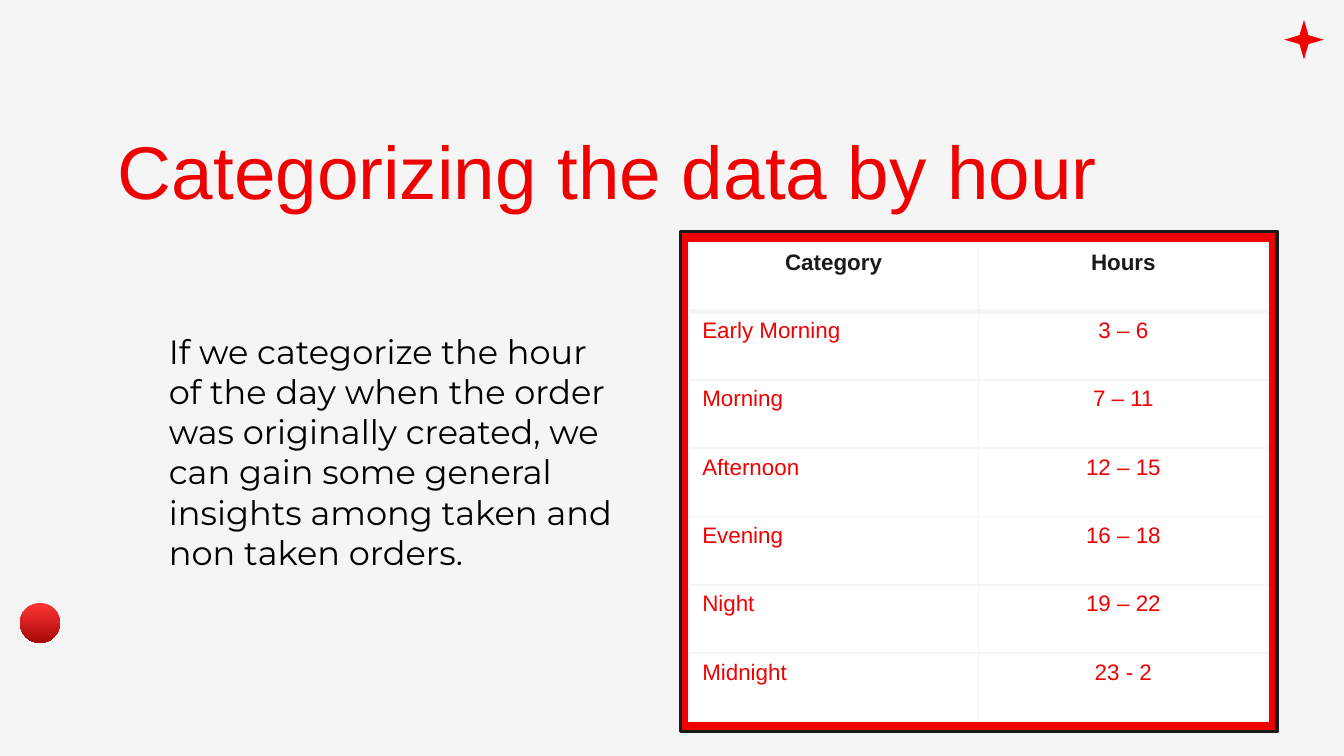
import math
from dataclasses import dataclass

from pptx import Presentation
from pptx.dml.color import RGBColor
from pptx.enum import shapes, text
from pptx.oxml import parse_xml
from pptx.oxml import ns
from pptx.util import Pt


@dataclass(frozen=True)
class Theme:
    paper: str = "F5F5F5"
    cell: str = "FFFFFF"
    ink: str = "1A1A1A"
    body: str = "000000"
    accent: str = "F00101"
    ball: tuple = ("FE3535", "A90707")
    heading_font: str = "Arial"
    body_font: str = "Montserrat"
    title_size: int = 40
    body_size: int = 18
    table_size: int = 12


THEME = Theme()
TITLE = "Categorizing the data by hour"
BODY = ("If we categorize the hour of the day when the order was originally "
        "created, we can gain some general insights among taken and non taken "
        "orders.")
ROWS = [
    ("Category", "Hours"),
    ("Early Morning", "3 – 6"),
    ("Morning", "7 – 11"),
    ("Afternoon", "12 – 15"),
    ("Evening", "16 – 18"),
    ("Night", "19 – 22"),
    ("Midnight", "23 - 2"),
]


def apply_format(target, values):
    for name, value in values.items():
        setattr(target, name, value)


def paint(fill, color):
    fill.solid()
    fill.fore_color.rgb = RGBColor.from_string(color)


def write(frame, words, size, color, font, bold=False,
          align=text.PP_ALIGN.LEFT):
    para = frame.paragraphs[0]
    para.alignment = align
    span = para.add_run()
    span.text = words
    apply_format(span.font, {"size": Pt(size), "name": font, "bold": bold})
    span.font.color.rgb = RGBColor.from_string(color)


def add_title(page):
    title = page.shapes.title
    apply_format(title, {"left": Pt(56), "top": Pt(57),
                         "width": Pt(608), "height": Pt(37)})
    apply_format(title.text_frame, {
        "margin_left": Pt(7.2), "margin_right": Pt(7.2),
        "margin_top": Pt(10), "margin_bottom": Pt(7.2),
        "vertical_anchor": text.MSO_ANCHOR.TOP,
        "auto_size": text.MSO_AUTO_SIZE.NONE, "word_wrap": True})
    write(title.text_frame, TITLE, THEME.title_size, THEME.accent,
          THEME.heading_font)


def add_body(page):
    box = page.shapes.add_textbox(Pt(83.4), Pt(173.5), Pt(257), Pt(138.5))
    box.text_frame.word_wrap = True
    write(box.text_frame, BODY, THEME.body_size, THEME.body, THEME.body_font)


def add_ball(page, left, top, size):
    ball = page.shapes.add_shape(shapes.MSO_SHAPE.OVAL,
                                 Pt(left), Pt(top), Pt(size), Pt(size))
    ball.shadow.inherit = False
    ball.line.fill.background()
    ball.fill.gradient()
    ball.fill.gradient_angle = 270
    for stop, color in zip(ball.fill.gradient_stops, THEME.ball):
        stop.color.rgb = RGBColor.from_string(color)


def add_star(page, x, y, outer, inner):
    points = []
    for step in range(8):
        radius = inner if step % 2 else outer
        angle = math.radians(45 * step - 90)
        points.append((Pt(x + radius * math.cos(angle)),
                       Pt(y + radius * math.sin(angle))))
    builder = page.shapes.build_freeform(*points[0])
    builder.add_line_segments(points[1:], close=True)
    star = builder.convert_to_shape()
    star.shadow.inherit = False
    star.line.fill.background()
    paint(star.fill, THEME.accent)


def add_frame(page):
    frame = page.shapes.add_shape(shapes.MSO_SHAPE.RECTANGLE,
                                  Pt(364.5), Pt(124), Pt(319.5), Pt(268))
    frame.shadow.inherit = False
    paint(frame.fill, THEME.accent)
    frame.line.width = Pt(2)
    frame.line.color.rgb = RGBColor.from_string(THEME.ink)


def add_borders(cell, widths):
    properties = cell._tc.get_or_add_tcPr()
    # Borders come before the fill in the cell properties
    for index, (side, width) in enumerate(widths.items()):
        properties.insert(index, parse_xml(
            f'<a:{side} {ns.nsdecls("a")} w="{Pt(width)}"><a:solidFill>'
            f'<a:srgbClr val="{THEME.paper}"/></a:solidFill></a:{side}>'))


def add_hours_table(page):
    column_width, row_height = 155.2, 36.6
    table = page.shapes.add_table(
        len(ROWS), 2, Pt(369), Pt(130.3),
        Pt(2 * column_width), Pt(len(ROWS) * row_height)).table
    apply_format(table, {"horz_banding": False, "first_row": False})
    for column in table.columns:
        column.width = Pt(column_width)
    for r, values in enumerate(ROWS):
        table.rows[r].height = Pt(row_height)
        header = r == 0
        for c, value in enumerate(values):
            cell = table.cell(r, c)
            paint(cell.fill, THEME.cell)
            centred = header or c == 1
            write(cell.text_frame, value, THEME.table_size,
                  THEME.ink if header else THEME.accent,
                  THEME.heading_font, header,
                  text.PP_ALIGN.CENTER if centred else text.PP_ALIGN.LEFT)
            add_borders(cell, {"lnL": 1, "lnR": 1,
                               "lnT": 3 if r == 1 else 1,
                               "lnB": 3 if header else 1})


def main():
    deck = Presentation()
    apply_format(deck, {"slide_width": Pt(720), "slide_height": Pt(405)})
    page = deck.slides.add_slide(deck.slide_layouts[5])
    paint(page.background.fill, THEME.paper)

    # Decorations
    add_ball(page, 10.7, 323, 21.5)
    add_star(page, 698.6, 21.3, 10.6, 3.4)

    # Heading and explanation
    add_title(page)
    add_body(page)

    # Framed table of hours
    add_frame(page)
    add_hours_table(page)

    deck.save("out.pptx")


if __name__ == "__main__":
    main()
